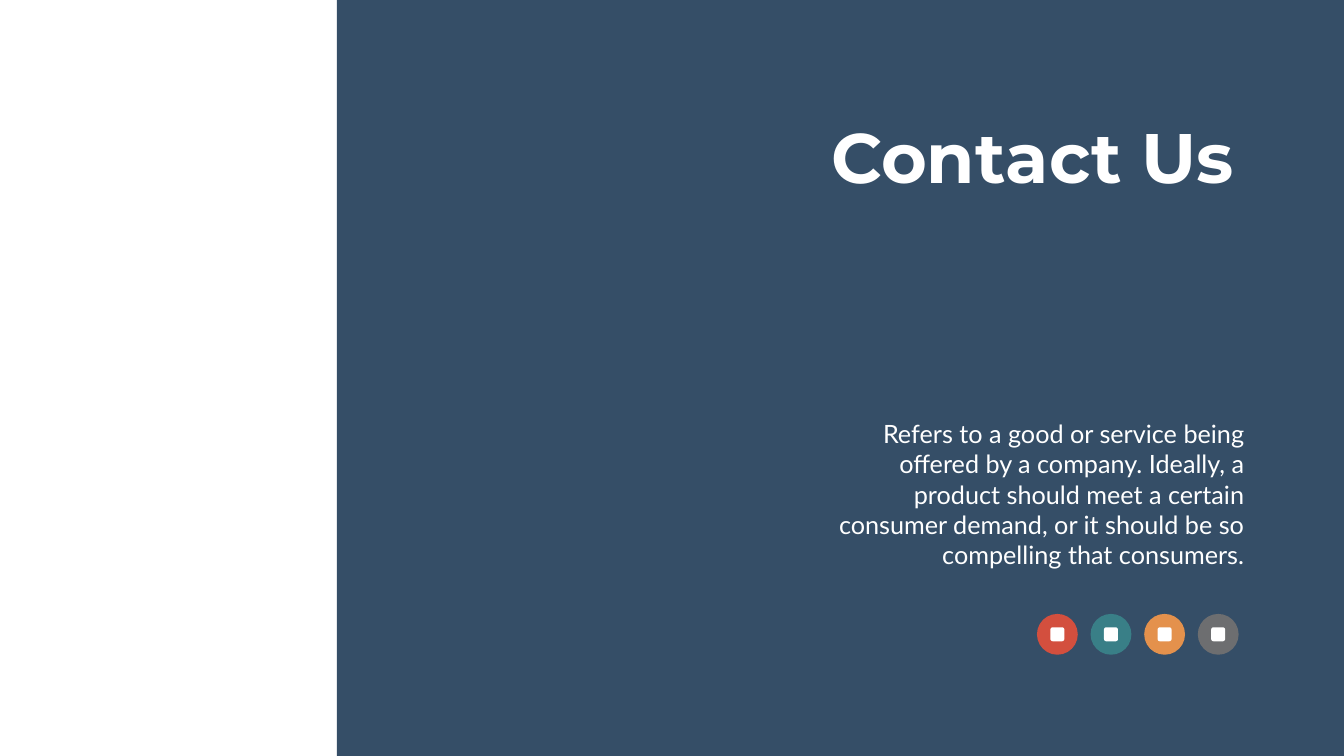
import pptx
import pptx.util
import pptx.dml.color
import pptx.enum.shapes
import pptx.enum.text
from dataclasses import dataclass

Pt = pptx.util.Pt
MSO_SHAPE = pptx.enum.shapes.MSO_SHAPE


@dataclass(frozen=True)
class Theme:
    """Colours, fonts and type sizes of the slide."""
    panel: str = "354E67"
    light: str = "FFFFFF"
    badges: tuple = ("D34F3E", "397F87", "E4914C", "6D6E70")
    title_font: str = "Montserrat"
    body_font: str = "Lato"
    title_size: int = 100
    body_size: int = 36
    body_leading: int = 43


THEME = Theme()


def rgb(value):
    """Turn a hex string into a colour."""
    return pptx.dml.color.RGBColor.from_string(value)


def add_filled(s, kind, box, color):
    """Add a flat preset shape without line or shadow."""
    sp = s.shapes.add_shape(kind, *map(Pt, box))
    sp.shadow.inherit = False
    sp.fill.solid()
    sp.fill.fore_color.rgb = rgb(color)
    sp.line.fill.background()
    return sp


def add_text(s, box, text, font, size, bold=False, inset=(7.2, 3.6)):
    """Add a right-aligned light paragraph and return it."""
    tf = s.shapes.add_textbox(*map(Pt, box)).text_frame
    tf.word_wrap = True
    tf.margin_left = tf.margin_right = Pt(inset[0])
    tf.margin_top = tf.margin_bottom = Pt(inset[1])
    tf.text = text
    p = tf.paragraphs[0]
    p.alignment = pptx.enum.text.PP_ALIGN.RIGHT
    r = p.runs[0]
    r.font.name = font
    r.font.size = Pt(size)
    r.font.bold = bold
    r.font.color.rgb = rgb(THEME.light)
    return p


def add_badges(s, left, top, width, size):
    """Spread round badges evenly over a width, each with a plain mark."""
    pitch = (width - size) / (len(THEME.badges) - 1)
    mark = 20
    inner = (size - mark) / 2
    for i, color in enumerate(THEME.badges):
        x = left + i * pitch
        add_filled(s, MSO_SHAPE.OVAL, (x, top, size, size), color)
        add_filled(s, MSO_SHAPE.ROUNDED_RECTANGLE,
                   (x + inner, top + inner, mark, mark), THEME.light)


def add_contact_panel(s, left, top, width, height):
    """Draw the contact panel with title, description and badges."""
    add_filled(s, MSO_SHAPE.RECTANGLE, (left, top, width, height), THEME.panel)
    right = left + width
    add_text(s, (right - 799.2, top + 159, 648.7, 128.2), "Contact Us",
             THEME.title_font, THEME.title_size, bold=True)
    p = add_text(s, (right - 781.2, top + 589.7, 655.9, 234.7),
                 "Refers to a good or service being offered by a company. "
                 "Ideally, a product should meet a certain consumer demand, "
                 "or it should be so compelling that consumers.",
                 THEME.body_font, THEME.body_size, inset=(17.28, 8.64))
    p.line_spacing = Pt(THEME.body_leading)
    p.space_before = Pt(0.2 * THEME.body_size)
    add_badges(s, right - 438.5, top + 877, 288, 58.3)


def main():
    """Build and save the slide."""
    prs = pptx.Presentation()
    prs.slide_width, prs.slide_height = Pt(1919.52), Pt(1080)
    s = prs.slides.add_slide(prs.slide_layouts[6])
    s.background.fill.solid()
    s.background.fill.fore_color.rgb = rgb(THEME.light)
    add_contact_panel(s, 481, 0, 1438.5, 1080)
    prs.save("out.pptx")


main()
